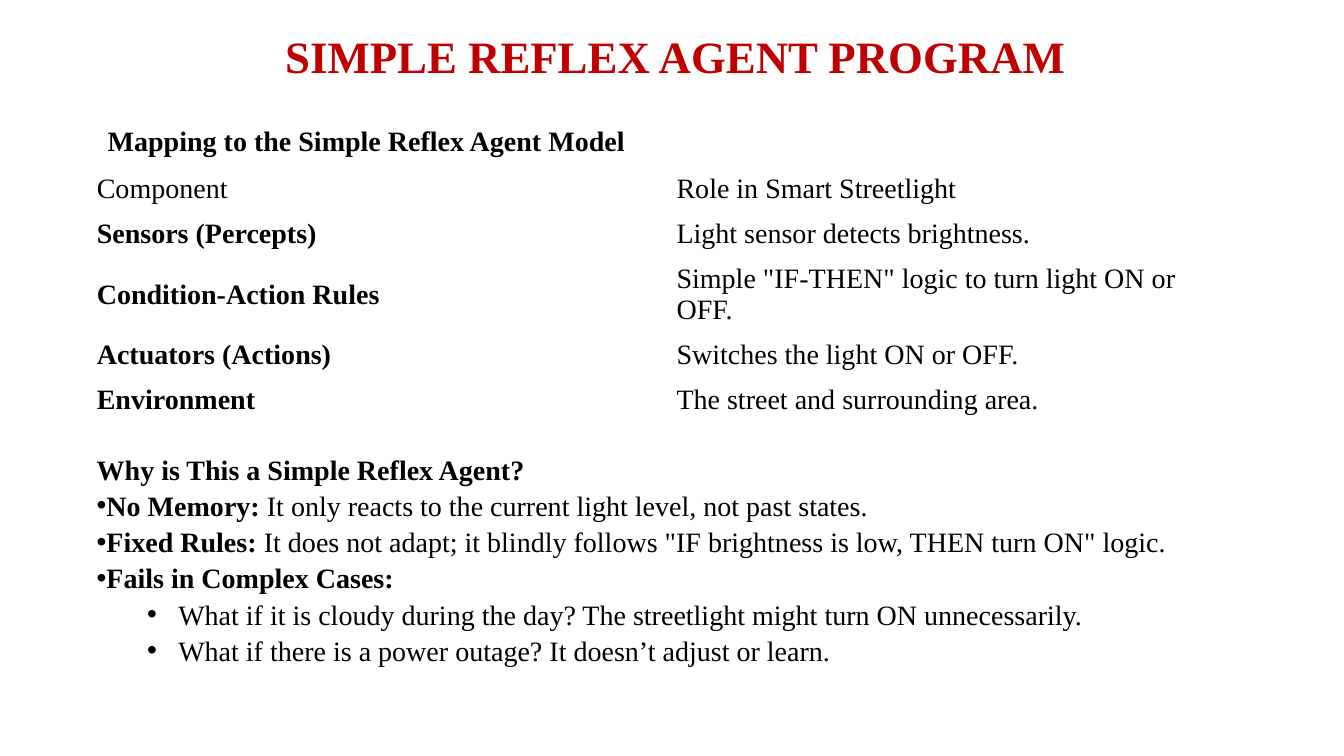
from lxml.etree import SubElement
from pptx import Presentation
from pptx.dml.color import RGBColor
from pptx.enum.text import MSO_ANCHOR, PP_ALIGN
from pptx.oxml.ns import qn
from pptx.util import Inches, Pt

FONT = "Times New Roman"
COLORS = {"title": "C00000", "text": "000000"}
ROLES = [
    ("Component", "Role in Smart Streetlight"),
    ("Sensors (Percepts)", "Light sensor detects brightness."),
    ("Condition-Action Rules", 'Simple "IF-THEN" logic to turn light ON or OFF.'),
    ("Actuators (Actions)", "Switches the light ON or OFF."),
    ("Environment", "The street and surrounding area."),
]
REASONS = [
    ("Why is This a Simple Reflex Agent?", "", None),
    ("No Memory:", " It only reacts to the current light level, not past states.", 0),
    ("Fixed Rules:", ' It does not adapt; it blindly follows "IF brightness is low, THEN turn ON" logic.', 0),
    ("Fails in Complex Cases:", "", 0),
    ("", "What if it is cloudy during the day? The streetlight might turn ON unnecessarily.", 1),
    ("", "What if there is a power outage? It doesn’t adjust or learn.", 1),
]


def add_text(para, text, size=20, bold=False, color="text"):
    run = para.add_run()
    run.text = text
    font = run.font
    font.name, font.size, font.bold = FONT, Pt(size), bold
    font.color.rgb = RGBColor.from_string(COLORS[color])


def add_box(slide, left, top, width, height, wrap=True):
    box = slide.shapes.add_textbox(Inches(left), Inches(top), Inches(width), Inches(height))
    box.text_frame.word_wrap = wrap
    return box.text_frame


def set_bullet(para, level):
    para.level = level
    props = para._p.get_or_add_pPr()
    left, indent = (0.81, -0.31) if level else (0, 0)
    props.set("marL", str(Inches(left)))
    props.set("indent", str(Inches(indent)))
    SubElement(props, qn("a:buFont")).set("typeface", "Arial")
    SubElement(props, qn("a:buChar")).set("char", "•")


def add_roles(slide):
    frame = slide.shapes.add_table(
        len(ROLES), 2, Inches(0.86), Inches(1.66), Inches(11.5), Inches(2.5)
    )
    table = frame.table
    table.first_row = table.horz_banding = False
    for r, texts in enumerate(ROLES):
        table.rows[r].height = Inches(0.76 if r == 2 else 0.44)
        for c, text in enumerate(texts):
            cell = table.cell(r, c)
            cell.fill.background()
            cell.vertical_anchor = MSO_ANCHOR.MIDDLE
            add_text(cell.text_frame.paragraphs[0], text, bold=r > 0 and c == 0)


def add_reasons(slide):
    frame = add_box(slide, 0.86, 4.41, 12.39, 2.12)
    for i, (lead, rest, level) in enumerate(REASONS):
        para = frame.add_paragraph() if i else frame.paragraphs[0]
        para.line_spacing = 1.08
        if level is not None:
            set_bullet(para, level)
        if lead:
            add_text(para, lead, bold=True)
        if rest:
            add_text(para, rest)


def main():
    deck = Presentation()
    deck.slide_width, deck.slide_height = Inches(13.33), Inches(7.5)
    slide = deck.slides.add_slide(deck.slide_layouts[6])

    title = add_box(slide, 2.72, 0.24, 7.96, 1.65).paragraphs[0]
    title.alignment = PP_ALIGN.CENTER
    add_text(title, "SIMPLE REFLEX AGENT PROGRAM", size=32, bold=True, color="title")

    add_roles(slide)
    head = add_box(slide, 0.97, 1.18, 5.37, 0.77, wrap=False).paragraphs[0]
    add_text(head, "Mapping to the Simple Reflex Agent Model", bold=True)
    add_reasons(slide)
    deck.save("out.pptx")


if __name__ == "__main__":
    main()
